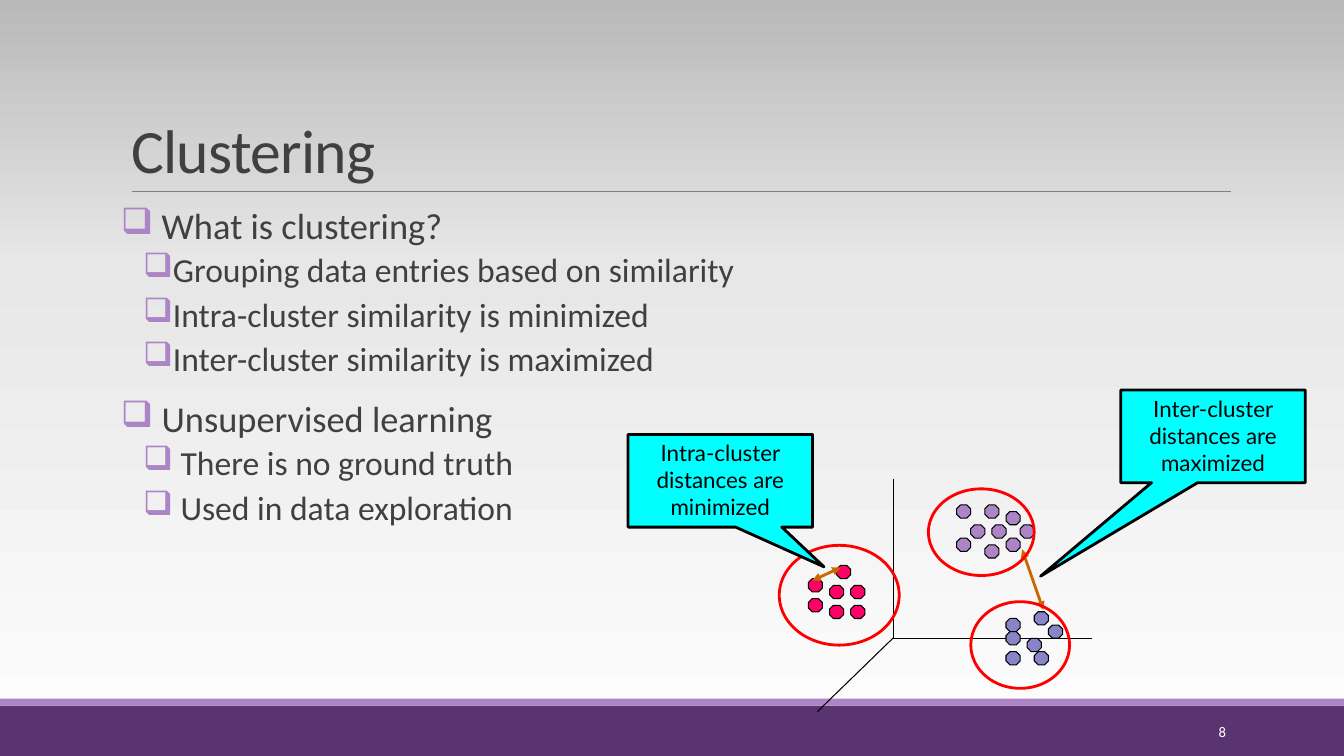
"""Build the slide that explains clustering."""
from copy import deepcopy
from dataclasses import dataclass

from lxml import etree
from pptx import Presentation
from pptx.dml.color import RGBColor
from pptx.enum.shapes import MSO_CONNECTOR, MSO_SHAPE
from pptx.enum.text import MSO_ANCHOR, PP_ALIGN
from pptx.oxml.ns import qn
from pptx.util import Pt

LEFT, CENTER, RIGHT = PP_ALIGN.LEFT, PP_ALIGN.CENTER, PP_ALIGN.RIGHT
TOP, MIDDLE, BOTTOM = MSO_ANCHOR.TOP, MSO_ANCHOR.MIDDLE, MSO_ANCHOR.BOTTOM
RECTANGLE, ELLIPSE, OCTAGON = MSO_SHAPE.RECTANGLE, MSO_SHAPE.OVAL, MSO_SHAPE.OCTAGON
CALLOUT = MSO_SHAPE.RECTANGULAR_CALLOUT
STRAIGHT = MSO_CONNECTOR.STRAIGHT
TITLE_ONLY = 5


@dataclass(frozen=True)
class Theme:
    """Colours, fonts and type sizes of the slide."""
    text: str = "404040"
    black: str = "000000"
    white: str = "FFFFFF"
    rule: str = "808080"
    dark_band: str = "5A3471"
    lilac: str = "AD84C6"
    blue: str = "8784C7"
    pink: str = "FF0066"
    ring: str = "FF0000"
    arrow: str = "CC6600"
    callout: str = "00FFFF"
    background: tuple = ((0, "FEFEFE"), (0.65, "E7E7E7"), (1, "B9B9B9"))
    font: str = "Calibri"
    callout_font: str = "Lato"
    title_size: float = 44
    body_sizes: tuple = (26, 24)
    callout_size: float = 16
    number_size: float = 10.5
    thin: float = 0.75
    thick: float = 2


THEME = Theme()

BULLETS = (
    (0, " What is clustering?"),
    (1, "Grouping data entries based on similarity"),
    (1, "Intra-cluster similarity is minimized"),
    (1, "Inter-cluster similarity is maximized"),
    (0, " Unsupervised learning"),
    (1, " There is no ground truth"),
    (1, " Used in data exploration"),
)
LEVELS = (
    {"margin": 7.2, "indent": -7.2, "before": 12, "after": 2},
    {"margin": 30.2, "indent": -14.4, "before": 2, "after": 4},
)

DOT_SIZE = (10.1, 9.4)
DOT_STEP = (5.05, 4.75)
CLUSTERS = (
    (THEME.lilac, (683.3, 360.7),
     ((2, 3), (5, 3), (4, 0), (4, 6), (9, 3), (7, 1), (0, 0), (7, 5), (0, 5))),
    (THEME.pink, (577.4, 403.9),
     ((0, 2), (3, 3), (3, 6), (6, 3), (4, 0), (6, 6), (0, 5))),
    (THEME.blue, (718.6, 437),
     ((0, 1), (6, 2), (3, 4), (0, 6), (4, 6), (0, 3), (4, 0))),
)
RINGS = ((556.6, 389.5, 85.7, 71.3), (663.1, 349.2, 75.6, 61.9), (693.4, 429.8, 70.6, 61.9))
AXIS_ORIGIN = (637.9, 455.8)
AXIS_ENDS = ((637.9, 342), (779.8, 455.8), (583.9, 508.3))


def color(value):
    """Turn a hex value into a colour."""
    return RGBColor.from_string(value)


def apply_format(target, values):
    """Set every attribute in values on target."""
    for name, value in values.items():
        setattr(target, name, value)


def add_run(paragraph, text, size, ink, font=THEME.font):
    """Add a formatted run to a paragraph and return it."""
    run = paragraph.add_run()
    run.text = text
    apply_format(run.font, {"name": font, "size": Pt(size)})
    run.font.color.rgb = color(ink)
    return run


def add_shape(slide, kind, box, fill=None, line=None, width=THEME.thin):
    """Add a preset shape with an optional fill and outline."""
    shape = slide.shapes.add_shape(kind, *map(Pt, box))
    shape.shadow.inherit = False
    if fill:
        shape.fill.solid()
        shape.fill.fore_color.rgb = color(fill)
    else:
        shape.fill.background()
    if line:
        shape.line.color.rgb = color(line)
        shape.line.width = Pt(width)
    else:
        shape.line.fill.background()
    return shape


def add_line(slide, start, end, ink=THEME.black, width=THEME.thin, arrows=False):
    """Add a straight line, with arrowheads at both ends if asked."""
    connector = slide.shapes.add_connector(STRAIGHT, *map(Pt, start + end))
    connector.line.color.rgb = color(ink)
    connector.line.width = Pt(width)
    properties = connector.element.spPr
    if arrows:
        outline = properties.find(qn("a:ln"))
        for tag in ("a:headEnd", "a:tailEnd"):
            etree.SubElement(outline, qn(tag), type="triangle")
    etree.SubElement(properties, qn("a:effectLst"))


def add_callout(slide, box, tip, text):
    """Add a callout whose pointer ends at tip."""
    shape = add_shape(slide, CALLOUT, box, THEME.callout, THEME.black, THEME.thick)
    for index, value in enumerate(tip):
        shape.adjustments[index] = value
    apply_format(shape.text_frame, {"word_wrap": True, "vertical_anchor": TOP})
    paragraph = shape.text_frame.paragraphs[0]
    paragraph.alignment = CENTER
    add_run(paragraph, text, THEME.callout_size, THEME.black, THEME.callout_font)


def set_background(slide):
    """Fill the background with a vertical gradient."""
    fill = slide.background.fill
    fill.gradient()
    fill.gradient_angle = 90
    stops = slide.element.find(".//" + qn("a:gsLst"))
    stops.append(deepcopy(stops[0]))
    for stop, (position, value) in zip(fill.gradient_stops, THEME.background):
        stop.position = position
        stop.color.rgb = color(value)


def set_title(slide, text):
    """Place and format the title."""
    title = slide.shapes.title
    apply_format(title, {"left": Pt(86.4), "top": Pt(22.3),
                         "width": Pt(792), "height": Pt(114.5)})
    title.text_frame.vertical_anchor = BOTTOM
    paragraph = title.text_frame.paragraphs[0]
    apply_format(paragraph, {"alignment": LEFT, "line_spacing": 0.85})
    run = add_run(paragraph, text, THEME.title_size, THEME.text)
    run.font._element.set("spc", "-50")


def add_bullet(paragraph, margin, indent):
    """Give a paragraph a hanging box bullet."""
    properties = paragraph._p.get_or_add_pPr()
    properties.set("marL", str(Pt(margin)))
    properties.set("indent", str(Pt(indent)))
    bullet_color = etree.SubElement(properties, qn("a:buClr"))
    etree.SubElement(bullet_color, qn("a:srgbClr"), val=THEME.lilac)
    etree.SubElement(properties, qn("a:buChar"), char="❑")


def add_body(slide):
    """Add the two-level bullet list."""
    frame = slide.shapes.add_textbox(Pt(86.4), Pt(145.4), Pt(792), Pt(316.8)).text_frame
    apply_format(frame, {"word_wrap": True, "margin_left": 0, "margin_right": 0})
    for index, (level, text) in enumerate(BULLETS):
        paragraph = frame.add_paragraph() if index else frame.paragraphs[0]
        style = LEVELS[level]
        apply_format(paragraph, {"level": level, "line_spacing": 0.9,
                                 "space_before": Pt(style["before"]),
                                 "space_after": Pt(style["after"])})
        add_bullet(paragraph, style["margin"], style["indent"])
        add_run(paragraph, text, THEME.body_sizes[level], THEME.text)


def add_slide_number(slide, text):
    """Add the slide number in the bottom band."""
    frame = slide.shapes.add_textbox(Pt(779.8), Pt(508.3), Pt(103), Pt(28.8)).text_frame
    apply_format(frame, {"word_wrap": True, "vertical_anchor": MIDDLE})
    frame.paragraphs[0].alignment = RIGHT
    add_run(frame.paragraphs[0], text, THEME.number_size, THEME.white)


def add_cluster(slide, fill, origin, cells):
    """Add the dots of a cluster on a fine grid."""
    for cell in cells:
        place = tuple(start + step * count for start, step, count in zip(origin, DOT_STEP, cell))
        add_shape(slide, OCTAGON, place + DOT_SIZE, fill, THEME.black)


def main():
    """Build and save the slide."""
    presentation = Presentation()
    apply_format(presentation, {"slide_width": Pt(960), "slide_height": Pt(540)})
    slide = presentation.slides.add_slide(presentation.slide_layouts[TITLE_ONLY])
    set_background(slide)
    add_shape(slide, RECTANGLE, (0, 504, 960, 36), THEME.dark_band)
    add_shape(slide, RECTANGLE, (0, 499, 960, 5), THEME.lilac)
    add_line(slide, (94.3, 136.8), (879.1, 136.8), THEME.rule, 0.5)
    set_title(slide, "Clustering")
    add_body(slide)
    add_slide_number(slide, "8")
    for end in AXIS_ENDS:
        add_line(slide, AXIS_ORIGIN, end)
    for cluster in CLUSTERS:
        add_cluster(slide, *cluster)
    add_line(slide, (745.2, 435.6), (730.1, 392.4), THEME.arrow, THEME.thick, True)
    add_callout(slide, (800.6, 278.6, 131.8, 66.2), (-0.935, 1.509),
                "Inter-cluster distances are maximized")
    for ring in RINGS:
        add_shape(slide, ELLIPSE, ring, line=THEME.ring, width=THEME.thick)
    add_line(slide, (580.3, 414.7), (600.5, 405.4), THEME.arrow, THEME.thick, True)
    add_callout(slide, (448.6, 310.3, 131.8, 66.2), (0.562, 0.929),
                "Intra-cluster distances are minimized")
    presentation.save("out.pptx")


if __name__ == "__main__":
    main()
